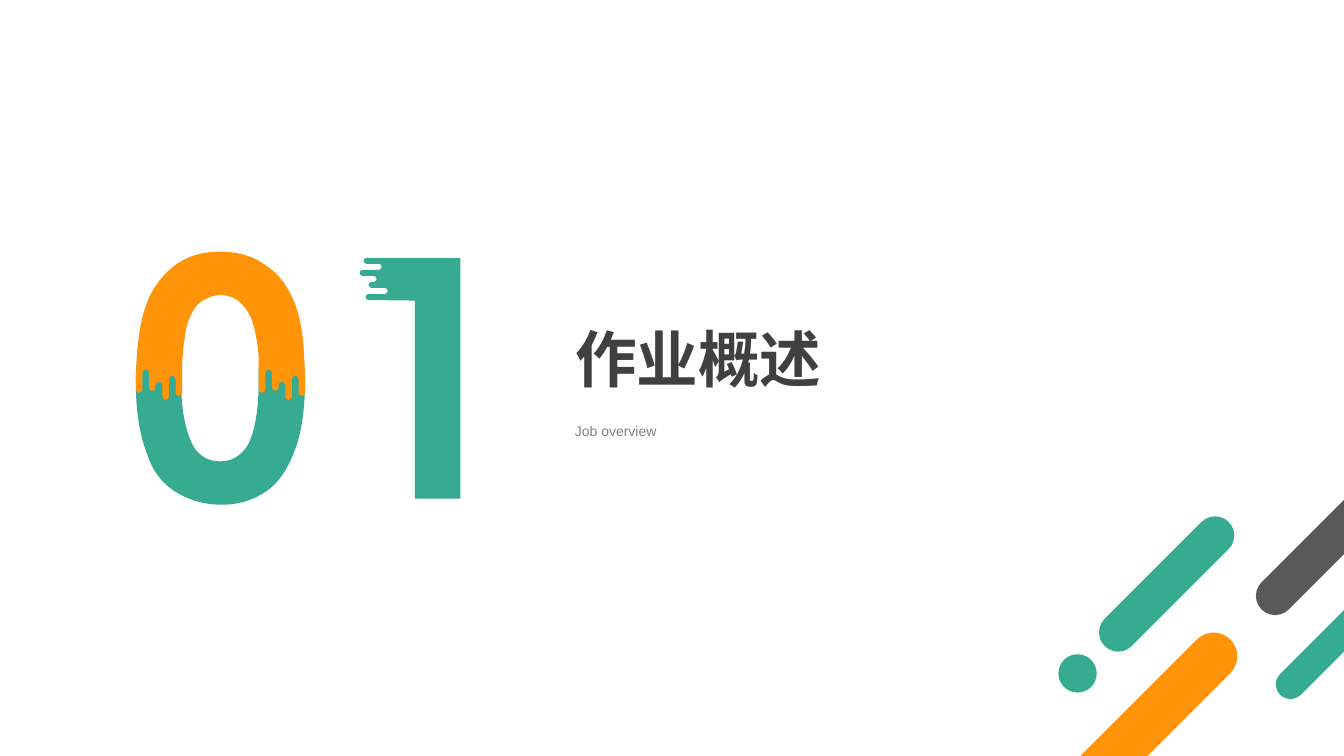
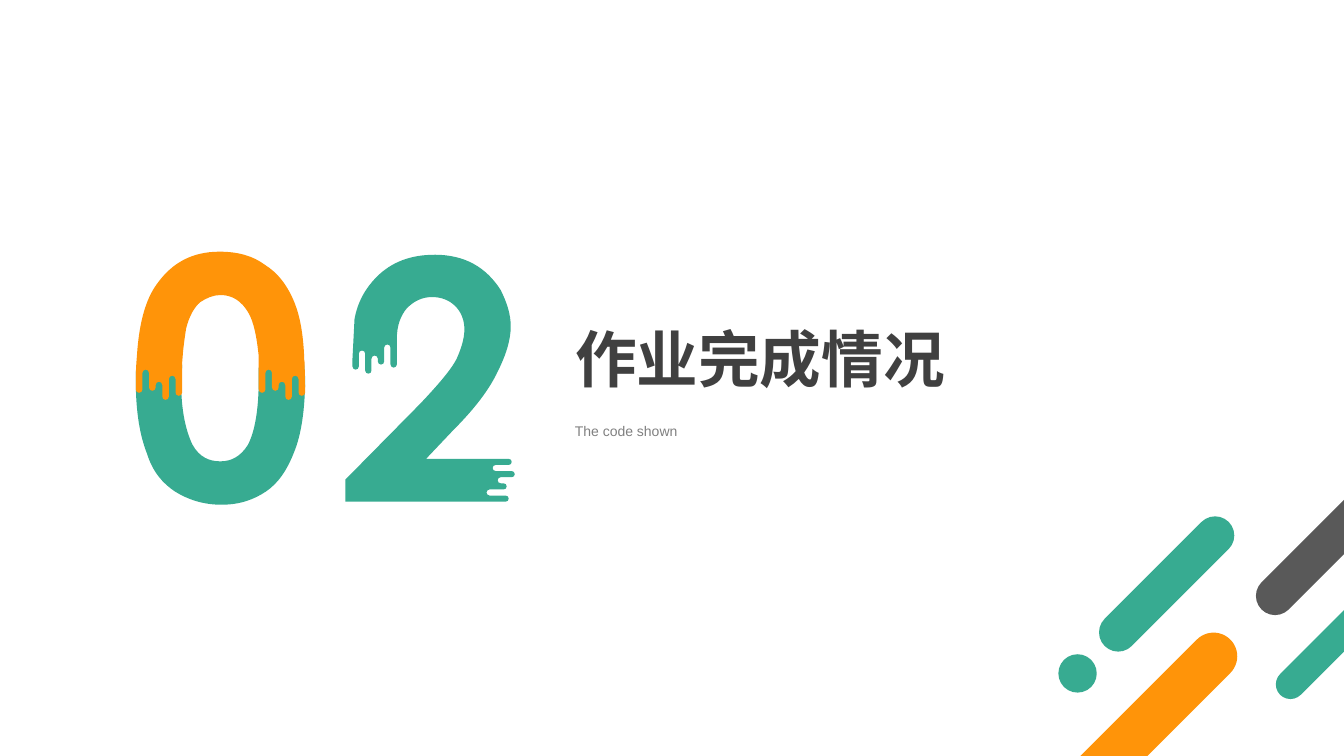
from collections import namedtuple

from lxml.etree import SubElement
from pptx import Presentation
from pptx.dml.color import RGBColor
from pptx.enum.shapes import MSO_SHAPE
from pptx.enum.text import MSO_ANCHOR, MSO_AUTO_SIZE, PP_ALIGN
from pptx.oxml.ns import qn
from pptx.util import Pt

Box = namedtuple("Box", "left top width height")

GREEN = RGBColor(0x37, 0xAB, 0x91)
ORANGE = RGBColor(0xFF, 0x94, 0x09)
GRAY = RGBColor(0x59, 0x59, 0x59)
TITLE_COLOR = RGBColor(0x40, 0x40, 0x40)
SUBTITLE_COLOR = RGBColor(0x80, 0x80, 0x80)

TITLE_FONT = {"name": "Arial", "size": Pt(44), "bold": True}
SUBTITLE_FONT = {"name": "Arial", "size": Pt(10), "bold": False}

NUMBER_BOX = Box(97, 179.8, 273, 181)
HEADING_BOX = Box(403.6, 225.6, 425, 92)
CORNER_BOX = Box(678.3, 354.2, 282, 186)

UNIT = 0.72
ROUNDNESS = 0.55

BARS = [
    (MSO_SHAPE.ROUNDED_RECTANGLE, Box(214.8, 80.2, 145.4, 20.9), GREEN),
    (MSO_SHAPE.ROUNDED_RECTANGLE, Box(0.2, 168.7, 234.7, 33.8), ORANGE),
    (MSO_SHAPE.ROUNDED_RECTANGLE, Box(195, 0.2, 190.1, 27.4), GRAY),
]
BAR_AND_DOT = [
    (MSO_SHAPE.ROUNDED_RECTANGLE, Box(92.4, 49.2, 125.3, 27.4), GREEN),
    (MSO_SHAPE.OVAL, Box(77.7, 113.1, 27.4, 27.4), GREEN),
]


def drips(start, end, tips, sideways=False):
    step = (end - start) / len(tips)
    radius = abs(step) / 2
    direction = 1 if tips[0] > tips[1] else -1
    segments = []
    for index, tip in enumerate(tips):
        near = start + index * step
        middle = near + step / 2
        far = near + step
        base = tip - direction * radius
        bend = base + direction * radius * ROUNDNESS
        slide_in = step / 2 * ROUNDNESS
        lobe = [
            [(near, base)],
            [(near, bend), (middle - slide_in, tip), (middle, tip)],
            [(middle + slide_in, tip), (far, bend), (far, base)],
        ]
        for points in lobe:
            ordered = [point[::-1] if sideways else point for point in points]
            segments.append(sum(ordered, ()))
        direction = -direction
    return segments


ZERO_TIPS = [143, 123, 147, 129, 138, 117, 140]

ZERO_BOTTOM = [
    (23, 110),
    (33, 110, 42, 111, 46, 112),
    (46, 117, 45, 123, 45, 129),
    (45, 159, 50, 178, 56, 191),
    (63, 204, 73, 208, 84, 208),
    (95, 208, 104, 203, 111, 192),
    (118, 179, 122, 157, 122, 126),
    (122, 122, 122, 118, 122, 115),
    (130, 112, 160, 109, 167, 111),
    (168, 125),
    (168, 157, 164, 182, 157, 199),
    (150, 217, 141, 230, 129, 238),
    (117, 246, 103, 251, 85, 251),
    (67, 251, 52, 246, 39, 238),
    (27, 230, 17, 219, 11, 200),
    (4, 182, 0, 159, 0, 128),
    (0, 122, 0, 117, 1, 112),
    (4, 110, 14, 110, 23, 110),
]

ZERO_TOP = [
    (83, 0),
    (101, 0, 116, 4, 128, 13),
    (141, 21, 151, 34, 158, 52),
    (163, 65, 166, 82, 167, 103),
    (167, 106, 167, 108, 167.5, 110),
    *drips(168, 122, ZERO_TIPS),
    (122, 104),
    (120, 84, 117, 70, 112, 61),
    (105, 49, 96, 43, 84, 43),
    (77, 43, 70, 46, 64, 50),
    (58, 55, 53, 64, 50, 76),
    (49, 82, 48, 89, 47, 98),
    (46, 110),
    *drips(46, 0, ZERO_TIPS),
    (0, 125, 0, 117, 0.6, 110),
    (1.6, 97),
    (4, 69, 10, 47, 21, 32),
    (36, 11, 56, 0, 83, 0),
]

ONE = [
    (322, 6),
    (322, 245),
    (277, 245),
    (277, 48.5),
    (236, 48),
    *drips(48, 6, [228, 250, 231, 239, 222, 244, 226], sideways=True),
    (322, 6),
]

TWO = [
    (297, 3),
    (311, 3, 324, 6, 335, 12),
    (346, 18, 355, 27, 362, 38),
    (368, 50, 372, 62, 372, 74),
    (372, 88, 367, 103, 359, 119),
    (351, 136, 337, 155, 315, 177),
    (288, 205.5),
    (306, 205.5, 324, 205.5, 342, 205.5),
    (349, 205.5, 355, 205.5, 362, 205.5),
    *drips(205.5, 248, [373, 354, 376, 359, 368, 348, 370], sideways=True),
    (342, 248),
    (297, 248, 253, 248, 208, 248),
    (208, 226),
    (282, 151),
    (300, 132, 312, 118, 318, 107),
    (323, 96, 326, 86, 326, 77),
    (326, 68, 323, 60, 317, 54),
    (311, 48, 303, 45, 294, 45),
    (284, 45, 276, 49, 269, 56),
    (263, 63, 259, 73, 259, 86),
    *drips(259, 215, [115, 92, 112, 103, 121, 98, 117]),
    (215, 106),
    (217, 67),
    (220, 50, 228, 36, 239, 25),
    (254, 10, 273, 3, 297, 3),
]

SECTIONS = [
    ("作业概述", "Job overview", ONE),
    ("作业完成情况", "The code shown", TWO),
]


def apply_format(target, values):
    for name, value in values.items():
        setattr(target, name, value)


def place(shape, box):
    apply_format(shape, {name: Pt(value) for name, value in box._asdict().items()})


def fill_plain(shape, color):
    shape.shadow.inherit = False
    shape.fill.solid()
    shape.fill.fore_color.rgb = color
    shape.line.fill.background()


def write_text(shape, text, font, color, wrap):
    frame = shape.text_frame
    frame.text = text
    apply_format(frame, {
        "word_wrap": wrap,
        "vertical_anchor": MSO_ANCHOR.TOP,
        "auto_size": MSO_AUTO_SIZE.SHAPE_TO_FIT_TEXT,
    })
    paragraph = frame.paragraphs[0]
    paragraph.alignment = PP_ALIGN.LEFT
    apply_format(paragraph.runs[0].font, font)
    paragraph.runs[0].font.color.rgb = color


def bend_lines(shape, segments, left, top):
    lines = list(shape._element.iter(qn("a:lnTo")))
    for line, segment in zip(lines, segments):
        if len(segment) == 2:
            continue
        line.tag = qn("a:cubicBezTo")
        for child in list(line):
            line.remove(child)
        for x, y in zip(segment[::2], segment[1::2]):
            point = SubElement(line, qn("a:pt"))
            point.set("x", str(Pt((x - left) * UNIT)))
            point.set("y", str(Pt((y - top) * UNIT)))


def draw_outline(slide, box, outline, color):
    corners = [segment[-2:] for segment in outline]
    points = [(Pt(x * UNIT), Pt(y * UNIT)) for x, y in corners]
    builder = slide.shapes.build_freeform(*points[0])
    builder.add_line_segments(points[1:], close=True)
    shape = builder.convert_to_shape(Pt(box.left), Pt(box.top))
    left, top = (min(values) for values in zip(*corners))
    bend_lines(shape, outline[1:], left, top)
    fill_plain(shape, color)
    return shape


def draw_number(slide, box, second_digit):
    parts = [(ZERO_BOTTOM, GREEN), (ZERO_TOP, ORANGE), (second_digit, GREEN)]
    slide.shapes.add_group_shape(
        [draw_outline(slide, box, outline, color) for outline, color in parts])


def draw_bar(slide, box, kind, bar, color):
    bounds = [Pt(box.left + bar.left), Pt(box.top + bar.top), Pt(bar.width), Pt(bar.height)]
    shape = slide.shapes.add_shape(kind, *bounds)
    if kind == MSO_SHAPE.ROUNDED_RECTANGLE:
        shape.adjustments[0] = 0.5
    shape.rotation = 315
    fill_plain(shape, color)
    return shape


def draw_corner(slide, box):
    for bar in BARS:
        draw_bar(slide, box, *bar)
    slide.shapes.add_group_shape([draw_bar(slide, box, *bar) for bar in BAR_AND_DOT])


def draw_heading(slide, box, title, subtitle):
    heading = slide.shapes.title
    place(heading, Box(box.left, box.top, 44 * len(title) + 16, 60.5))
    write_text(heading, title, TITLE_FONT, TITLE_COLOR, False)
    caption = slide.shapes.add_textbox(
        Pt(box.left), Pt(box.top + 72.4), Pt(box.width), Pt(19.4))
    write_text(caption, subtitle, SUBTITLE_FONT, SUBTITLE_COLOR, True)


def add_section_slide(presentation, title, subtitle, second_digit):
    slide = presentation.slides.add_slide(presentation.slide_layouts[5])
    draw_corner(slide, CORNER_BOX)
    draw_heading(slide, HEADING_BOX, title, subtitle)
    draw_number(slide, NUMBER_BOX, second_digit)


def main():
    presentation = Presentation()
    presentation.slide_width = Pt(960)
    presentation.slide_height = Pt(540)
    for section in SECTIONS:
        add_section_slide(presentation, *section)
    presentation.save("out.pptx")


if __name__ == "__main__":
    main()
